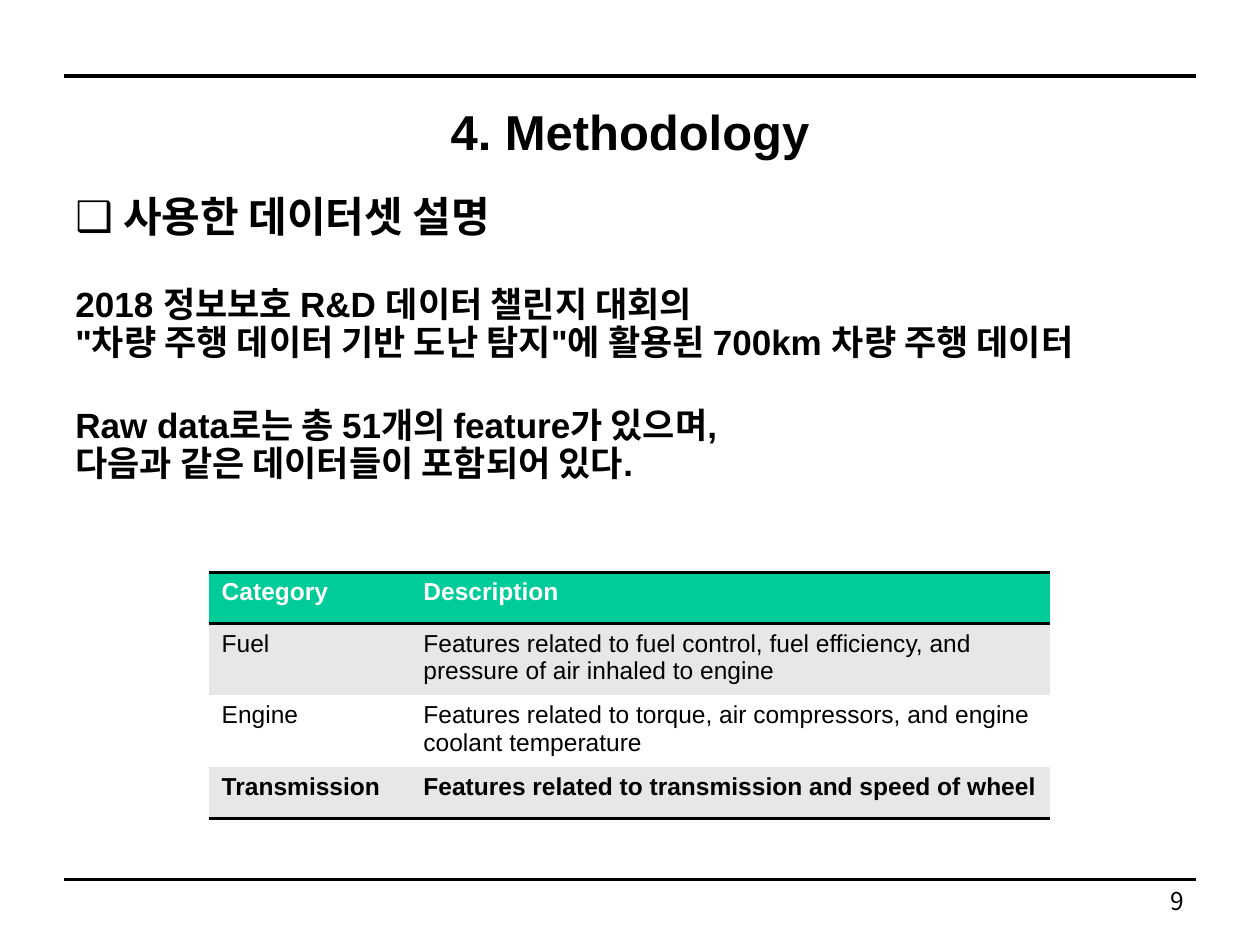
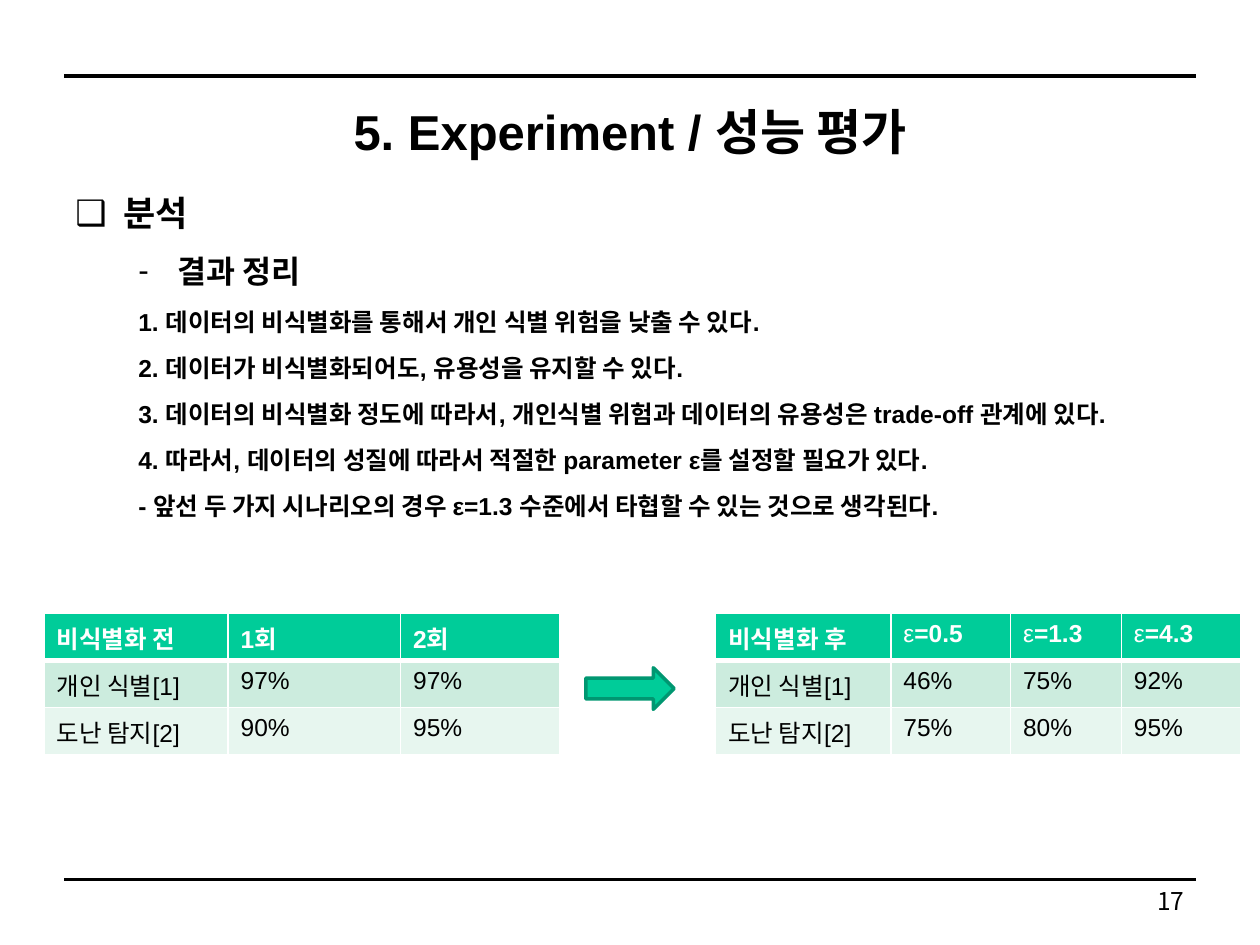
from collections import namedtuple

from lxml import etree
from pptx import Presentation, util as u
from pptx.dml.color import RGBColor
from pptx.enum import shapes, text
from pptx.oxml.ns import qn

BLACK = RGBColor(0x00, 0x00, 0x00)
WHITE = RGBColor(0xFF, 0xFF, 0xFF)
GREEN = RGBColor(0x00, 0xCC, 0x99)
DARK_GREEN = RGBColor(0x00, 0x97, 0x71)
GRAY = RGBColor(0xE7, 0xE7, 0xE7)
MINT = RGBColor(0xCC, 0xEC, 0xDE)
PALE_MINT = RGBColor(0xE7, 0xF6, 0xEF)

COLS, ROWS = 100, 75
CELL = u.Inches(0.1)
PLAIN_TABLE = "{2D5ABB26-0587-4C30-8999-92F81FD0307C}"

Box = namedtuple("Box", "x y w h")
FRAME = Box(5.1, 6, 89.8, 63.8)
TITLE = Box(5, 6.8, 90, 7.1)
BODY = Box(5, 15.1, 90, 52.3)
NUMBER = Box(71.7, 69.8, 23.3, 3.9)


def grid(*values):
    return [u.Emu(round(v * CELL)) for v in values]


def write(p, words, size=14, font="Arial", color=BLACK, bold=False, align=None):
    p.alignment = align
    for i, line in enumerate(words.split("\n")):
        if i:
            p.add_line_break()
        r = p.add_run()
        r.text = line
        r.font.size, r.font.name, r.font.bold = u.Pt(size), font, bold
        r.font.color.rgb = color


def layout(p, margin=0, indent=0, spacing=1.0, before=0, bullet=None):
    p.line_spacing, p.space_before = spacing, u.Pt(before)
    pPr = p._p.get_or_add_pPr()
    pPr.set("marL", str(u.Inches(margin)))
    pPr.set("indent", str(u.Inches(indent)))
    if bullet:
        clr = etree.SubElement(pPr, qn("a:buClr"))
        etree.SubElement(clr, qn("a:srgbClr")).set("val", str(BLACK))
        etree.SubElement(pPr, qn("a:buFont")).set("typeface", "Arial")
        etree.SubElement(pPr, qn("a:buChar")).set("char", bullet)


def add_text(s, box, anchor=text.MSO_ANCHOR.TOP):
    tf = s.shapes.add_textbox(*grid(*box)).text_frame
    tf.word_wrap, tf.vertical_anchor = True, anchor
    return tf


def add_rule(s, x, y, w):
    c = s.shapes.add_connector(shapes.MSO_CONNECTOR.STRAIGHT, *grid(x, y, x + w, y))
    c.line.color.rgb, c.line.width = BLACK, u.Pt(2.25)
    etree.SubElement(c._element.spPr, qn("a:effectLst"))


def add_slide(prs, title, number):
    s = prs.slides.add_slide(prs.slide_layouts[6])
    for y in (FRAME.y, FRAME.y + FRAME.h):
        add_rule(s, FRAME.x, y, FRAME.w)
    tf = add_text(s, TITLE, text.MSO_ANCHOR.MIDDLE)
    write(tf.paragraphs[0], title, size=28, bold=True, align=text.PP_ALIGN.CENTER)
    tf = add_text(s, NUMBER)
    write(tf.paragraphs[0], str(number), font="Noto Sans CJK KR", align=text.PP_ALIGN.RIGHT)
    return s


def add_body(s, box, paragraphs):
    tf = add_text(s, box)
    for i, (words, size, form) in enumerate(paragraphs):
        p = tf.add_paragraph() if i else tf.paragraphs[0]
        layout(p, **form)
        write(p, words, size=size, bold=True)


def add_borders(cell, edges):
    tcPr = cell._tc.get_or_add_tcPr()
    for i, side in enumerate(e for e in "LRTB" if e in edges):
        color, width = edges[side]
        ln = etree.Element(qn("a:ln" + side), w=str(u.Pt(width)))
        fill = etree.SubElement(ln, qn("a:solidFill"))
        etree.SubElement(fill, qn("a:srgbClr")).set("val", str(color))
        tcPr.insert(i, ln)


def add_table(s, box, widths, heights, rows, bands, edges_of, bold_rows=(0,)):
    table = s.shapes.add_table(len(rows), len(widths), *grid(*box)).table
    table._tbl.tblPr.find(qn("a:tableStyleId")).text = PLAIN_TABLE
    table.horz_banding = False
    for column, w in zip(table.columns, grid(*widths)):
        column.width = w
    for i, (row, h) in enumerate(zip(table.rows, grid(*heights))):
        row.height = h
        color = BLACK if i else WHITE
        for cell, words in zip(row.cells, rows[i]):
            cell.fill.solid()
            cell.fill.fore_color.rgb = bands[(i - 1) % 2] if i else GREEN
            add_borders(cell, edges_of(i))
            p = cell.text_frame.paragraphs[0]
            if words.startswith("ε"):
                write(p, "ε", color=color)
                words = words[1:]
            write(p, words, color=color, bold=i in bold_rows)


def feature_table(s, box):
    rows = [
        ("Category", "Description"),
        ("Fuel", "Features related to fuel control, fuel efficiency, and pressure of air inhaled to engine"),
        ("Engine", "Features related to torque, air compressors, and engine coolant temperature"),
        ("Transmission", "Features related to transmission and speed of wheel"),
    ]
    rule = (BLACK, 2)
    edges = {0: {"T": rule, "B": rule}, 3: {"B": rule}}
    add_table(s, box, (0.24 * box.w, 0.76 * box.w), (4.1, 5.3, 5.3, 4.1), rows,
              (GRAY, WHITE), lambda i: edges.get(i, {}), bold_rows=(0, 3))


def result_table(s, box, widths, rows):
    def edges_of(i):
        edges = dict.fromkeys("LRTB", (WHITE, 1))
        if i < 2:
            edges["T" if i else "B"] = (WHITE, 3)
        return edges

    add_table(s, box, widths, [box.h / len(rows)] * len(rows), rows,
              (MINT, PALE_MINT), edges_of)


def comparison(s, box):
    before, after = (14.6, 13.7, 12.6), (13.9, 9.5, 8.8, 9.5)
    result_table(s, Box(box.x, box.y, sum(before), box.h), before, [
        ("비식별화 전", "1회", "2회"),
        ("개인 식별[1]", "97%", "97%"),
        ("도난 탐지[2]", "90%", "95%"),
    ])
    w = sum(after)
    result_table(s, Box(box.x + box.w - w, box.y, w, box.h), after, [
        ("비식별화 후", "ε=0.5", "ε=1.3", "ε=4.3"),
        ("개인 식별[1]", "46%", "75%", "92%"),
        ("도난 탐지[2]", "75%", "80%", "95%"),
    ])
    sp = s.shapes.add_shape(shapes.MSO_SHAPE.RIGHT_ARROW,
                            *grid(box.x + 43, box.y + 4.3, 7, 3.3))
    sp.shadow.inherit = False
    sp.fill.solid()
    sp.fill.fore_color.rgb = GREEN
    sp.line.color.rgb, sp.line.width = DARK_GREEN, u.Pt(2)


def methodology(prs):
    s = add_slide(prs, "4. Methodology", 9)
    line = dict(spacing=0.9)
    section = dict(spacing=0.9, before=26)
    add_body(s, BODY, [
        ("사용한 데이터셋 설명", 24, dict(margin=0.38, indent=-0.38, spacing=0.9, bullet="❑")),
        ("2018 정보보호 R&D 데이터 챌린지 대회의\n"
         "\"차량 주행 데이터 기반 도난 탐지\"에 활용된 700km 차량 주행 데이터", 20, section),
        ("Raw data로는 총 51개의 feature가 있으며,", 20, section),
        ("다음과 같은 데이터들이 포함되어 있다.", 20, line),
    ])
    feature_table(s, Box(16.6, 45.4, 66.7, 18.8))


def experiment(prs):
    s = add_slide(prs, "5. Experiment / 성능 평가", 17)
    item = dict(spacing=1.15, before=7)
    findings = [
        "1. 데이터의 비식별화를 통해서 개인 식별 위험을 낮출 수 있다.",
        "2. 데이터가 비식별화되어도, 유용성을 유지할 수 있다.",
        "3. 데이터의 비식별화 정도에 따라서, 개인식별 위험과 데이터의 유용성은 trade-off 관계에 있다.",
        "4. 따라서, 데이터의 성질에 따라서 적절한 parameter ε를 설정할 필요가 있다.",
        "- 앞선 두 가지 시나리오의 경우 ε=1.3 수준에서 타협할 수 있는 것으로 생각된다.",
    ]
    add_body(s, BODY, [
        ("분석", 20, dict(margin=0.38, indent=-0.38, spacing=0.9, bullet="❑")),
        ("결과 정리", 18, dict(margin=0.81, indent=-0.31, bullet="-", **item)),
        *[(words, 14, dict(margin=0.5, **item)) for words in findings],
    ])
    comparison(s, Box(3.5, 48.7, 95, 11.2))


def main():
    prs = Presentation()
    prs.slide_width, prs.slide_height = grid(COLS, ROWS)
    methodology(prs)
    experiment(prs)
    prs.save("out.pptx")


if __name__ == "__main__":
    main()
